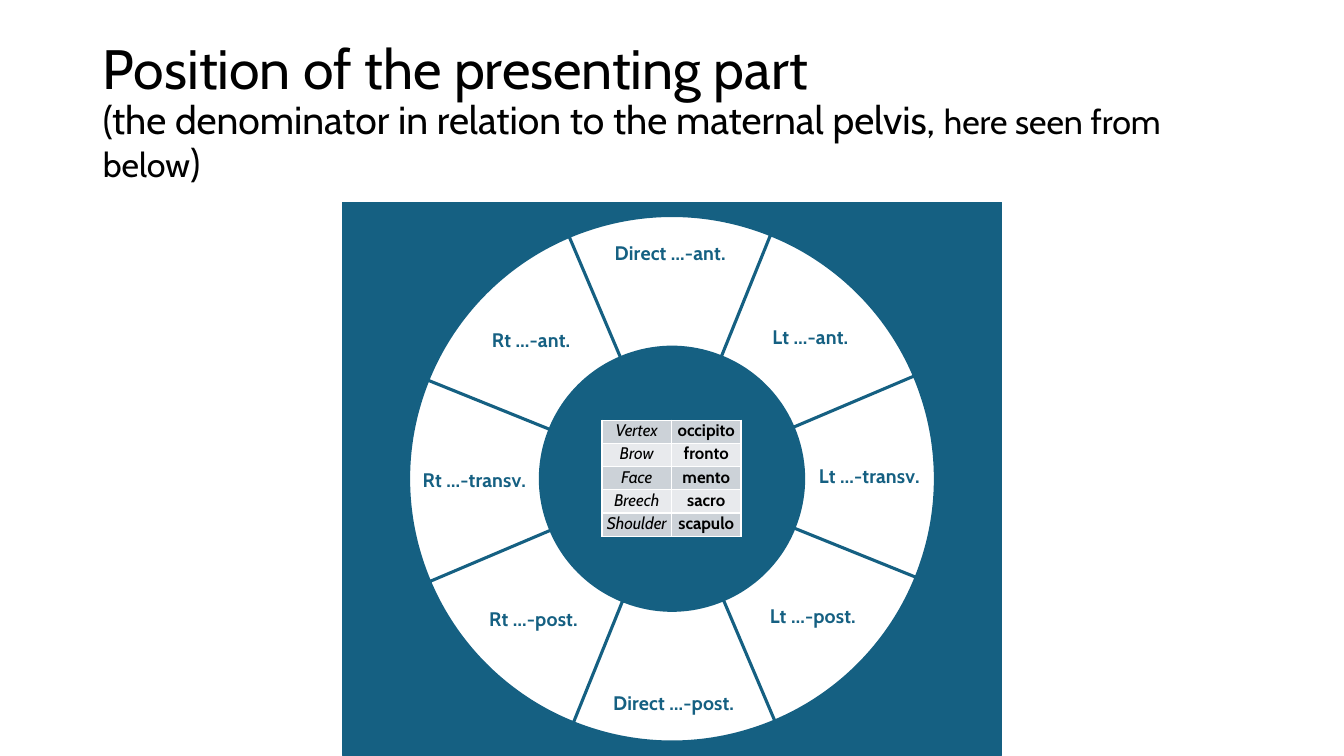
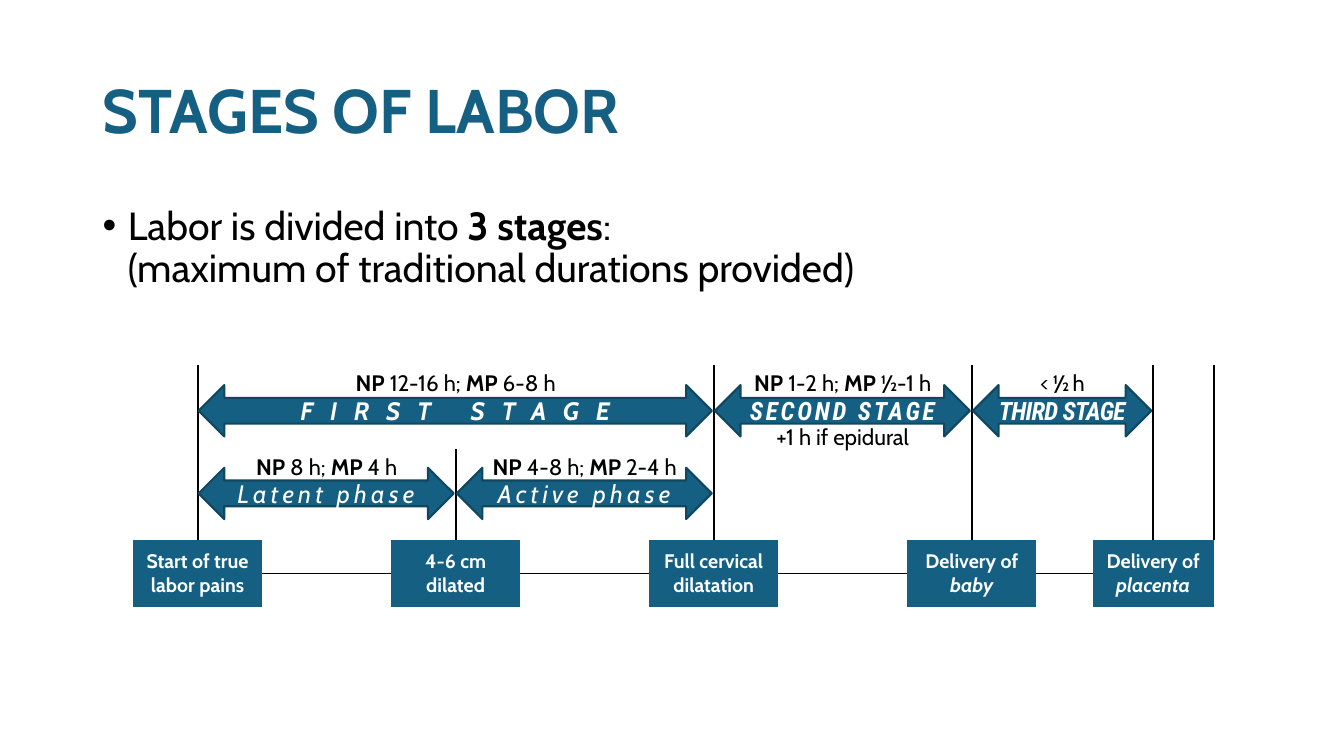
from collections import defaultdict
from copy import deepcopy
from dataclasses import dataclass

from lxml import etree
from pptx import Presentation
from pptx.chart.data import CategoryChartData
from pptx.dml.color import RGBColor
from pptx.enum.chart import XL_CHART_TYPE
from pptx.enum.shapes import MSO_SHAPE
from pptx.enum.text import MSO_ANCHOR, MSO_AUTO_SIZE, PP_ALIGN
from pptx.oxml import parse_xml
from pptx.oxml.ns import nsdecls, qn
from pptx.util import Inches, Pt

CENTER, LEFT = PP_ALIGN.CENTER, PP_ALIGN.LEFT
MIDDLE, TOP = MSO_ANCHOR.MIDDLE, MSO_ANCHOR.TOP
DOUGHNUT = XL_CHART_TYPE.DOUGHNUT
ARROW = MSO_SHAPE.LEFT_RIGHT_ARROW
NO_GRID_STYLE = "{2D5ABB26-0587-4C30-8999-92F81FD0307C}"
TITLE_ONLY = 5


@dataclass(frozen=True)
class Theme:
    font: str = "Cabin"
    narrow: str = "Roboto Condensed"
    blue: str = "156082"
    dark_blue: str = "104760"
    black: str = "000000"
    white: str = "FFFFFF"
    bands: tuple = ("CCD2D8", "E8EAED")
    title: float = 44
    body: float = 28
    arrow: float = 18
    duration: float = 16
    label: float = 14
    small: float = 12


THEME = Theme()

# Content: a run is (text, options); a line break inside a run is "\n"
BOLD, ITALIC = {"bold": True}, {"italic": True}

POSITION_TITLE = [
    ("Position of the presenting part\n", {"size": 39.6}),
    ("(the denominator in relation to the maternal pelvis, ", {"size": 27.9}),
    ("here seen from below", {"size": 24.3}),
    (")", {"size": 27.9}),
]
POSITIONS = ["Lt …-ant.", "Lt …-transv.", "Lt …-post.", "Direct …-post.",
             "Rt …-post.", "Rt …-transv.", "Rt …-ant.", "Direct …-ant."]
LABEL_SHIFTS = {3: 0.05, 7: -0.05}
DENOMINATORS = [("Vertex", "occipito"), ("Brow", "fronto"), ("Face", "mento"),
                ("Breech", "sacro"), ("Shoulder", "scapulo")]

STAGES_TITLE = [("STAGES OF LABOR", {"size": THEME.title, "color": THEME.blue, **BOLD})]
STAGES_INTRO = [("Labor is divided into ", {}), ("3 stages", BOLD),
                (":\n(maximum of traditional durations provided)", {})]
MILESTONES = [
    [("Start of true labor pains", {})],
    [("4-6 cm dilated", {})],
    [("Full cervical dilatation", {})],
    [("Delivery of ", {}), ("baby", ITALIC)],
    [("Delivery of ", {}), ("placenta", ITALIC)],
]


def nullipara_multipara(nullipara, multipara):
    return [("NP ", BOLD), (nullipara + "; ", {}), ("MP ", BOLD), (multipara, {})]


# Row, first and last milestone, rows spanned, durations, name, name style
PERIODS = [
    (0, 0, 2, 1, [nullipara_multipara("12-16 h", "6-8 h")],
     "FIRST STAGE", {"spacing": 12, **BOLD}),
    (0, 2, 3, 2, [nullipara_multipara("1-2 h", "½-1 h"), [("+1 h if epidural", {})]],
     "SECOND STAGE", {"spacing": 2, "font": THEME.narrow, **BOLD}),
    (0, 3, 4, 2, [[("< ½ h", {"spacing": -0.5})]],
     "THIRD STAGE", {"spacing": -0.5, "font": THEME.narrow, **BOLD}),
    (1, 0, 1, 1, [nullipara_multipara("8 h", "4 h")], "Latent phase", {"spacing": 3}),
    (1, 1, 2, 1, [nullipara_multipara("4-8 h", "2-4 h")], "Active phase", {"spacing": 3}),
]


# Shared helpers
def rgb(color):
    return RGBColor.from_string(color)


def paint(fill, color):
    fill.solid()
    fill.fore_color.rgb = rgb(color)


def write(paragraph, runs, size, color=THEME.black, align=LEFT):
    paragraph.alignment = align
    for text, style in runs:
        for number, line in enumerate(text.split("\n")):
            if number:
                paragraph.add_line_break()
            if not line:
                continue
            run = paragraph.add_run()
            run.text = line
            run.font.name = style.get("font", THEME.font)
            run.font.size = Pt(style.get("size", size))
            run.font.color.rgb = rgb(style.get("color", color))
            run.font.bold = style.get("bold", False)
            run.font.italic = style.get("italic", False)
            if "spacing" in style:
                run.font._element.set("spc", str(int(style["spacing"] * 100)))


def add_titled_slide(deck, runs):
    slide = deck.slides.add_slide(deck.slide_layouts[TITLE_ONLY])
    title = slide.shapes.title
    title.left, title.top = Inches(0.92), Inches(0.4)
    title.width, title.height = Inches(11.5), Inches(1.45)
    frame = title.text_frame
    frame.word_wrap = True
    frame.auto_size = MSO_AUTO_SIZE.NONE
    frame.vertical_anchor = MIDDLE
    frame.paragraphs[0].line_spacing = 0.9
    write(frame.paragraphs[0], runs, THEME.title)
    return slide


def add_plain_table(slide, left, top, widths, heights):
    table = slide.shapes.add_table(
        len(heights), len(widths), Inches(left), Inches(top),
        Inches(sum(widths)), Inches(sum(heights))).table
    table.first_row = table.horz_banding = False
    table._tbl.tblPr.find(qn("a:tableStyleId")).text = NO_GRID_STYLE
    for column, width in zip(table.columns, widths):
        column.width = Inches(width)
    for row, height in zip(table.rows, heights):
        row.height = Inches(height)
    for cell in table.iter_cells():
        cell.margin_left = cell.margin_right = 0
        cell.margin_top = cell.margin_bottom = 0
        cell.fill.background()
    return table


def set_borders(cell, borders):
    properties = cell._tc.get_or_add_tcPr()
    sides = [side for side in "LRTB" if side in borders]
    for index, side in enumerate(sides):
        color, points = borders[side]
        properties.insert(index, parse_xml(
            f'<a:ln{side} {nsdecls("a")} w="{int(points * 12700)}"><a:solidFill>'
            f'<a:srgbClr val="{color}"/></a:solidFill></a:ln{side}>'))


# Slide 1: ring of positions around the denominators
def style_position_label(labels, index, shift):
    label = etree.Element(qn("c:dLbl"))
    etree.SubElement(label, qn("c:idx"), val=str(index))
    layout = etree.SubElement(etree.SubElement(label, qn("c:layout")), qn("c:manualLayout"))
    etree.SubElement(layout, qn("c:x"), val="0")
    etree.SubElement(layout, qn("c:y"), val=str(shift))
    label.append(deepcopy(labels.find(qn("c:txPr"))))
    for part in ("LegendKey", "Val", "CatName", "SerName", "Percent", "BubbleSize"):
        etree.SubElement(label, qn("c:show" + part), val=str(int(part == "CatName")))
    return label


def add_position_ring(slide):
    ring_data = CategoryChartData()
    ring_data.categories = POSITIONS
    ring_data.add_series("Series 1", [12] * len(POSITIONS))
    chart = slide.shapes.add_chart(DOUGHNUT, Inches(3.39), Inches(2),
                                   Inches(6.55), Inches(5.5), ring_data).chart
    chart.has_title = chart.has_legend = False
    chart.font.name, chart.font.size = THEME.font, Pt(THEME.label)
    chart.font.color.rgb = rgb(THEME.black)
    plot = chart.plots[0]
    plot.vary_by_categories = False
    ring = plot.series[0]

    # Segments
    segments = [ring.points[index] for index in range(len(POSITIONS))]
    for part in [ring, *segments]:
        paint(part.format.fill, THEME.white)
        part.format.line.color.rgb = rgb(THEME.blue)
        part.format.line.width = Pt(1.5)
    explosion = etree.Element(qn("c:explosion"), val="1")
    ring._element.find(qn("c:spPr")).addnext(explosion)

    # Labels
    labels = ring.data_labels
    labels.show_value, labels.show_percentage = False, False
    labels.show_category_name = True
    labels.font.name, labels.font.size = THEME.font, Pt(THEME.label)
    labels.font.bold = True
    labels.font.color.rgb = rgb(THEME.blue)
    for position, (index, shift) in enumerate(LABEL_SHIFTS.items()):
        labels._element.insert(position, style_position_label(labels._element, index, shift))

    # Ring geometry and background
    space = chart._chartSpace
    for tag, value in (("c:firstSliceAng", "22"), ("c:holeSize", "40")):
        for setting in space.iter(qn(tag)):
            setting.set("val", value)
    solid = f'<a:solidFill><a:srgbClr val="{THEME.blue}"/></a:solidFill>'
    space.find(qn("c:chart")).addnext(parse_xml(
        f'<c:spPr {nsdecls("c", "a")}>{solid}<a:ln w="9525">{solid}</a:ln></c:spPr>'))


def add_denominators(slide):
    table = add_plain_table(slide, 5.97, 4.17, [0.69] * 2, [0.23] * len(DENOMINATORS))
    for row, pair in enumerate(DENOMINATORS):
        for column, (text, style) in enumerate(zip(pair, (ITALIC, BOLD))):
            cell = table.cell(row, column)
            write(cell.text_frame.paragraphs[0], [(text, style)], THEME.small, align=CENTER)
            paint(cell.fill, THEME.bands[row % 2])
            set_borders(cell, dict.fromkeys("LRTB", (THEME.white, 1)))


# Slide 2: timeline of the stages
TIMELINE_LEFT, TIMELINE_TOP = 1.32, 3.62
COLUMNS = [0.64, 0.64, 1.28] * 3 + [0.64, 0.64, 0.56, 0.6, 0.6]
ROWS = [0.83, 0.91, 0.33, 0.33]


def tick_column(milestone):
    return 3 * milestone + 1


def tick_x(milestone):
    return TIMELINE_LEFT + sum(COLUMNS[:tick_column(milestone)])


def fill_block(table, first, last, paragraphs, size, color, anchor, gap=0):
    cell = table.cell(*first)
    cell.merge(table.cell(*last))
    cell.margin_left = cell.margin_right = Inches(0.1)
    cell.margin_top = cell.margin_bottom = Inches(0.05)
    cell.vertical_anchor = anchor
    for number, runs in enumerate(paragraphs):
        frame = cell.text_frame
        paragraph = frame.add_paragraph() if number else frame.paragraphs[0]
        if number:
            paragraph.space_before = Pt(gap)
        write(paragraph, runs, size, color, CENTER)
    return cell


def add_timeline(slide):
    table = add_plain_table(slide, TIMELINE_LEFT, TIMELINE_TOP, COLUMNS, ROWS)
    borders = defaultdict(dict)

    # Milestones with their ticks and the line that joins them
    for milestone, runs in enumerate(MILESTONES):
        column = tick_column(milestone)
        box = fill_block(table, (2, column - 1), (3, column), [runs_bold(runs)],
                         THEME.label, THEME.white, MIDDLE)
        paint(box.fill, THEME.blue)
        for row in ((1,) if milestone == 1 else (0, 1)):
            borders[row, column - 1]["R"] = borders[row, column]["L"] = (THEME.black, 1.5)
        if milestone < len(MILESTONES) - 1:
            borders[2, column + 1]["B"] = borders[3, column + 1]["T"] = (THEME.black, 1)
    for column in (0, len(COLUMNS) - 1):
        table.cell(0, column).merge(table.cell(1, column))

    # Durations
    for row, start, end, span, durations, _, _ in PERIODS:
        fill_block(table, (row, tick_column(start)),
                   (row + span - 1, tick_column(end) - 1), durations,
                   THEME.duration, THEME.black, TOP, gap=19)
    for place, sides in borders.items():
        set_borders(table.cell(*place), sides)


def runs_bold(runs):
    return [(text, {**style, **BOLD}) for text, style in runs]


def add_period_arrows(slide):
    for row, start, end, _, _, name, style in PERIODS:
        left = tick_x(start) + 0.01
        arrow = slide.shapes.add_shape(
            ARROW, Inches(left), Inches(3.82 + 0.82 * row),
            Inches(tick_x(end) - left - 0.02), Inches(0.51))
        arrow.shadow.inherit = False
        paint(arrow.fill, THEME.blue)
        arrow.line.color.rgb = rgb(THEME.dark_blue)
        arrow.line.width = Pt(1.5)
        frame = arrow.text_frame
        frame.word_wrap = False
        frame.vertical_anchor = MIDDLE
        write(frame.paragraphs[0], [(name, {**style, **ITALIC})],
              THEME.arrow, THEME.white, CENTER)


def add_intro(slide):
    frame = slide.shapes.add_textbox(Inches(0.92), Inches(2), Inches(11.5), Inches(1)).text_frame
    frame.word_wrap = True
    paragraph = frame.paragraphs[0]
    paragraph.line_spacing = 0.9
    properties = paragraph._p.get_or_add_pPr()
    properties.set("marL", str(Inches(0.25)))
    properties.set("indent", str(-Inches(0.25)))
    etree.SubElement(properties, qn("a:buFont"), typeface="Arial")
    etree.SubElement(properties, qn("a:buChar"), char="•")
    write(paragraph, STAGES_INTRO, THEME.body)


def main():
    deck = Presentation()
    deck.slide_width, deck.slide_height = Inches(13.33), Inches(7.5)
    position_slide = add_titled_slide(deck, POSITION_TITLE)
    add_position_ring(position_slide)
    add_denominators(position_slide)
    stages_slide = add_titled_slide(deck, STAGES_TITLE)
    add_intro(stages_slide)
    add_timeline(stages_slide)
    add_period_arrows(stages_slide)
    deck.save("out.pptx")


if __name__ == "__main__":
    main()
